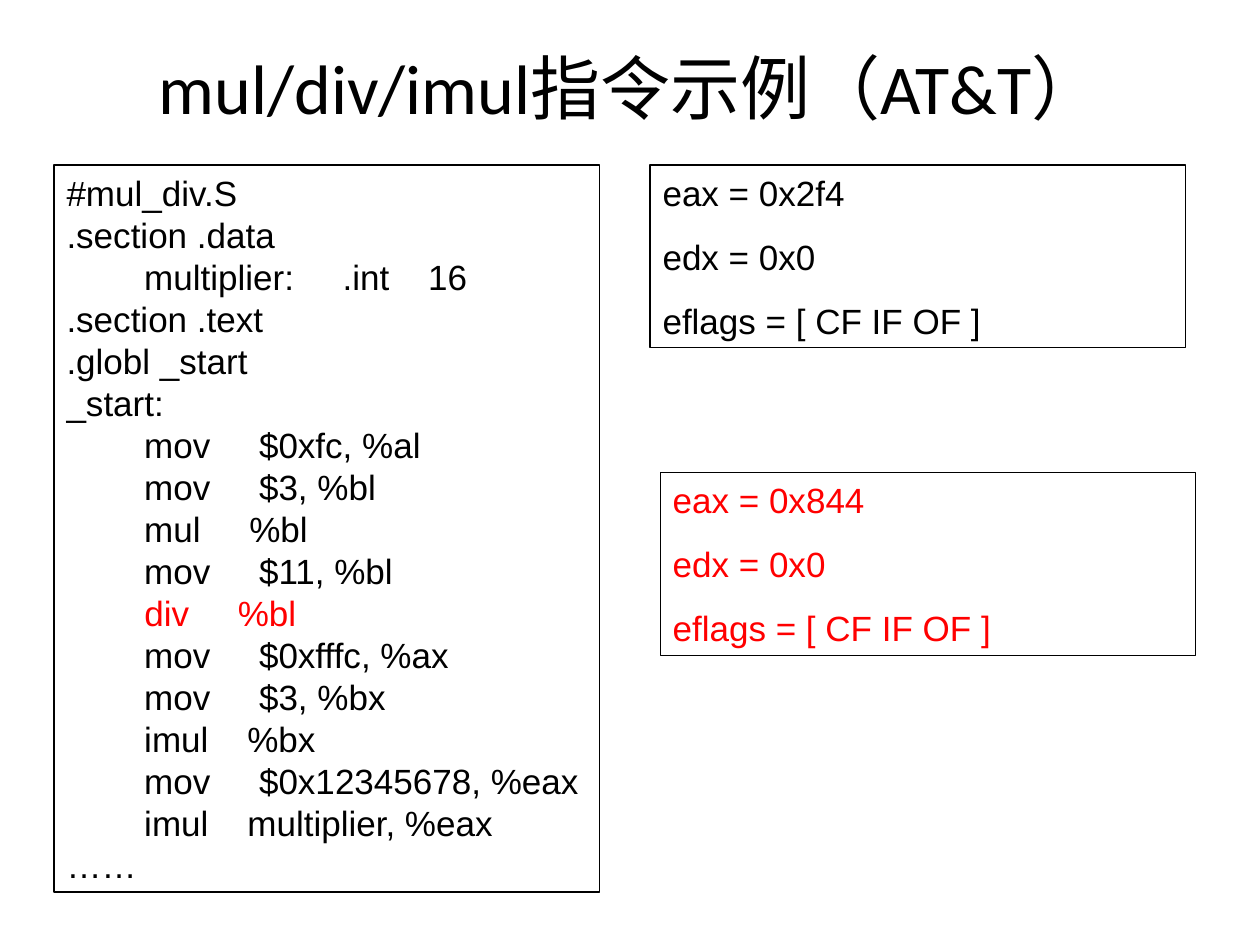
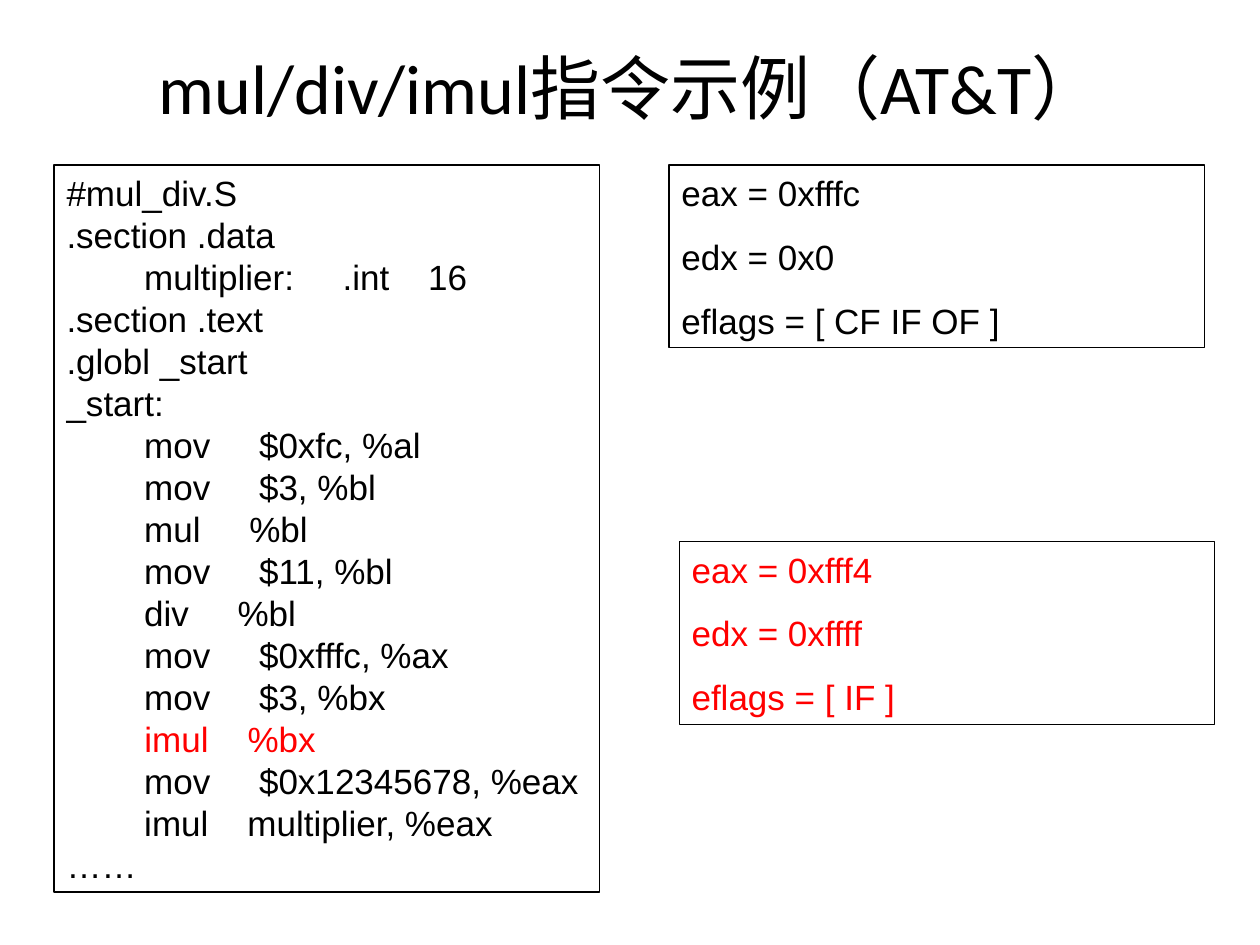
from pptx import Presentation
from pptx import util as u
from pptx.dml.color import RGBColor
from pptx.enum import shapes, text

COLORS = {"ink": "000000", "active": "FF0000"}
TITLE = "mul/div/imul指令示例（AT&T）"
PANEL_TOP = 1.31
REGISTER_SIZE = (4.25, 1.45)
ACTIVE_SHIFT = 0.08

LISTING = """#mul_div.S
.section .data
        multiplier:     .int    16
.section .text
.globl _start
_start:
        mov     $0xfc, %al
        mov     $3, %bl
        mul     %bl
        mov     $11, %bl
        div     %bl
        mov     $0xfffc, %ax
        mov     $3, %bx
        imul    %bx
        mov     $0x12345678, %eax
        imul    multiplier, %eax
……""".splitlines()

STEPS = [
    {
        "instruction": "div     %bl",
        "left": 5.16,
        "after_top": 3.75,
        "before": ("0x2f4", "0x0", "[ CF IF OF ]"),
        "after": ("0x844", "0x0", "[ CF IF OF ]"),
    },
    {
        "instruction": "imul    %bx",
        "left": 5.31,
        "after_top": 4.3,
        "before": ("0xfffc", "0x0", "[ CF IF OF ]"),
        "after": ("0xfff4", "0xffff", "[ IF ]"),
    },
]


def add_run(paragraph, wording, color="ink", size=20, face="Arial"):
    run = paragraph.add_run()
    run.text = wording
    run.font.size = u.Pt(size)
    run.font.name = face
    run.font.color.rgb = RGBColor.from_string(COLORS[color])


def add_title(slide):
    title = slide.shapes.title
    title.left, title.top = u.Inches(0.5), u.Inches(0.3)
    title.width, title.height = u.Inches(9), u.Inches(0.77)
    frame = title.text_frame
    frame.auto_size = text.MSO_AUTO_SIZE.NONE
    frame.vertical_anchor = text.MSO_ANCHOR.MIDDLE
    heading = frame.paragraphs[0]
    heading.alignment = text.PP_ALIGN.CENTER
    add_run(heading, TITLE, size=40, face="Calibri")


def add_panel(slide, left, top, width, height, lines, gap=0):
    panel = slide.shapes.add_shape(
        shapes.MSO_SHAPE.RECTANGLE, *map(u.Inches, (left, top, width, height))
    )
    panel.shadow.inherit = False
    panel.fill.background()
    panel.line.color.rgb = RGBColor.from_string(COLORS["ink"])
    panel.line.width = u.Pt(0.75)
    frame = panel.text_frame
    frame.word_wrap = True
    frame.auto_size = text.MSO_AUTO_SIZE.SHAPE_TO_FIT_TEXT
    frame.vertical_anchor = text.MSO_ANCHOR.TOP
    for index, runs in enumerate(lines):
        paragraph = frame.add_paragraph() if index else frame.paragraphs[0]
        paragraph.alignment = text.PP_ALIGN.LEFT
        paragraph.space_before = u.Pt(gap if index else 0)
        for wording, color in runs:
            add_run(paragraph, wording, color)


def add_listing(slide, instruction):
    lines = []
    for code in LISTING:
        if code.strip() == instruction:
            indent = code[: -len(instruction)]
            lines.append([(indent, "ink"), (instruction, "active")])
        else:
            lines.append([(code, "ink")])
    add_panel(slide, 0.43, PANEL_TOP, 4.33, 5.77, lines)


def add_registers(slide, left, top, values, color):
    names = ("eax", "edx", "eflags")
    lines = [[(f"{name} = {value}", color)] for name, value in zip(names, values)]
    add_panel(slide, left, top, *REGISTER_SIZE, lines, gap=12.5)


def main():
    deck = Presentation()
    deck.slide_width, deck.slide_height = u.Inches(10), u.Inches(7.5)
    title_only = deck.slide_layouts[5]
    for step in STEPS:
        slide = deck.slides.add_slide(title_only)
        left = step["left"]
        add_title(slide)
        add_listing(slide, step["instruction"])
        add_registers(slide, left, PANEL_TOP, step["before"], "ink")
        add_registers(
            slide, left + ACTIVE_SHIFT, step["after_top"], step["after"], "active"
        )
    deck.save("out.pptx")


if __name__ == "__main__":
    main()
